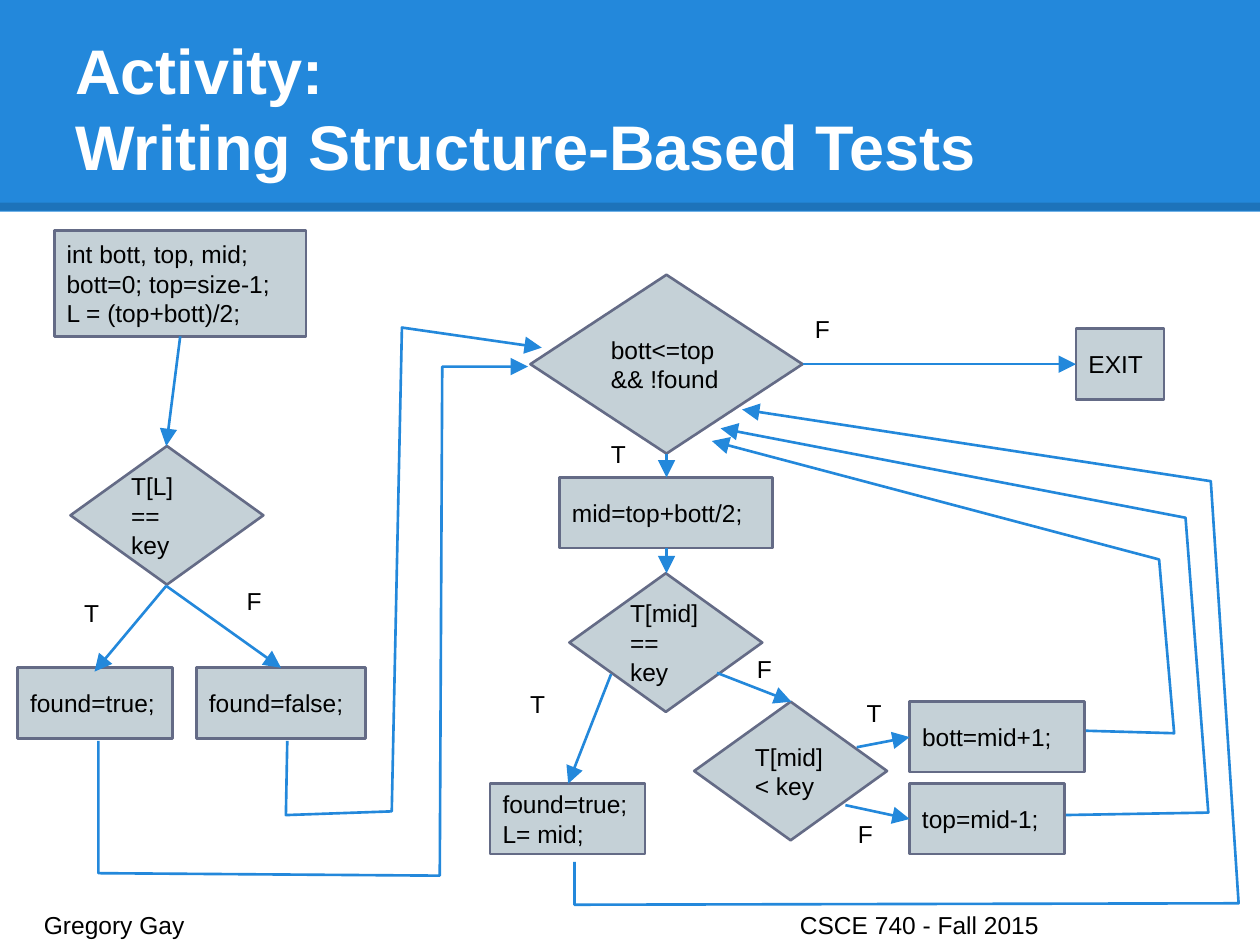
from typing import NamedTuple

from lxml import etree
from pptx import Presentation
from pptx.dml.color import RGBColor
from pptx.enum import shapes, text
from pptx.oxml import ns
from pptx.util import Pt

BLUE, WHITE, BLACK = "2388DB", "FFFFFF", "000000"
NODE_FILL, NODE_LINE = "C5D1D7", "646B86"
BODY = {"name": "Arial", "size": Pt(14), "bold": False}
TITLE = {"name": "Arial", "size": Pt(36), "bold": True}
BOX = shapes.MSO_SHAPE.RECTANGLE
DIAMOND = shapes.MSO_SHAPE.DIAMOND


class Node(NamedTuple):
    label: str
    x: float
    y: float
    w: float
    h: float = 40.3
    kind: shapes.MSO_SHAPE = BOX


class Label(NamedTuple):
    label: str
    x: float
    y: float


class Edge(NamedTuple):
    points: list[tuple[float, float]]


def decision(label: str, x: float, y: float) -> Node:
    return Node(label, x, y, 110.2, 79.2, DIAMOND)


NODES = [
    Node("int bott, top, mid;\nbott=0; top=size-1;\nL = (top+bott)/2;", 31, 131.8, 144, 60.5),
    decision("T[L] == key", 40.3, 254.9),
    Node("found=false;", 112.3, 381.6, 96.5),
    Node("found=true;", 10.1, 381.6, 88.6),
    Node("bott<=top && !found", 303.1, 157, 155.5, 102.2, DIAMOND),
    Node("EXIT", 614.9, 187.9, 50.4),
    Node("mid=top+bott/2;", 319.7, 272.9, 121.7),
    decision("T[mid] == key", 325.4, 327.6),
    Node("found=true;\nL= mid;", 280.1, 447.8, 88.6),
    decision("T[mid] < key", 396.7, 401),
    Node("bott=mid+1;", 519.8, 401, 100.1),
    Node("top=mid-1;", 519.8, 447.8, 88.6),
]

LABELS = [
    Label("F", 133.9, 327.6), Label("T", 41, 334.8),
    Label("F", 458.6, 172.1), Label("T", 342, 243.4),
    Label("T", 295.9, 386.6), Label("F", 425.5, 366.5),
    Label("T", 488.2, 391.7), Label("F", 483.1, 460.8),
]

EDGES = [
    Edge([(103, 192.2), (95, 254.9)]),
    Edge([(95, 334.8), (54, 383.8)]),
    Edge([(95, 334.8), (160.6, 381.6)]),
    Edge([(458.6, 208.1), (614.9, 208.1)]),
    Edge([(380.9, 259.2), (380.9, 272.9)]),
    Edge([(380.9, 313.2), (380.9, 327.6)]),
    Edge([(349.2, 385.2), (324.7, 447.8)]),
    Edge([(409.7, 384.5), (452.2, 401)]),
    Edge([(489.6, 427), (519.8, 421.2)]),
    Edge([(483.1, 460.1), (519.8, 468)]),
    Edge([(56.2, 423.4), (56.2, 499), (251.3, 500.4), (252.7, 209.5), (301.7, 209.5)]),
    Edge([(164.2, 423.4), (163.4, 465.8), (223.9, 463.7), (229.7, 187.2), (309.6, 198.7)]),
    Edge([(328.3, 492.5), (328.3, 517), (707.8, 516.2), (691.9, 275), (424.1, 234)]),
    Edge([(609.1, 465.8), (690.5, 464.4), (677.5, 295.9), (411.8, 244.8)]),
    Edge([(620.6, 417.6), (671, 419), (662.4, 319.7), (406.8, 252)]),
]


def paint(fill, colour: str) -> None:
    fill.solid()
    fill.fore_color.rgb = RGBColor.from_string(colour)


def write(sp, words: str, font: dict = BODY, colour: str = BLACK,
          anchor: text.MSO_ANCHOR = text.MSO_ANCHOR.TOP) -> None:
    tf = sp.text_frame
    frame = {"word_wrap": True, "vertical_anchor": anchor}
    frame |= {f"margin_{side}": Pt(7.2) for side in ("left", "top", "right", "bottom")}
    for name, value in frame.items():
        setattr(tf, name, value)
    tf.text = words
    for p in tf.paragraphs:
        p.alignment = text.PP_ALIGN.LEFT
        for r in p.runs:
            for name, value in font.items():
                setattr(r.font, name, value)
            paint(r.font.fill, colour)


def add_text(s, x: float, y: float, w: float, h: float, words: str, **style):
    sp = s.shapes.add_textbox(Pt(x), Pt(y), Pt(w), Pt(h))
    write(sp, words, **style)
    return sp


def add_line(s, start: tuple[float, float], end: tuple[float, float],
             colour: str, width: float):
    sp = s.shapes.add_connector(shapes.MSO_CONNECTOR.STRAIGHT, *map(Pt, start + end))
    paint(sp.line.fill, colour)
    sp.line.width = Pt(width)
    etree.SubElement(sp._element.spPr, ns.qn("a:effectLst"))
    return sp


def add_node(s, node: Node) -> None:
    sp = s.shapes.add_shape(node.kind, Pt(node.x), Pt(node.y), Pt(node.w), Pt(node.h))
    sp.shadow.inherit = False
    paint(sp.fill, NODE_FILL)
    paint(sp.line.fill, NODE_LINE)
    sp.line.width = Pt(1.5)
    write(sp, node.label, anchor=text.MSO_ANCHOR.MIDDLE)


def add_edge(s, edge: Edge) -> None:
    """Draw a straight or bent arrow that points at the last point."""
    start, *rest = edge.points
    if len(rest) == 1:
        sp = add_line(s, start, rest[0], BLUE, 1.5)
    else:
        builder = s.shapes.build_freeform(*map(Pt, start))
        builder.add_line_segments([(Pt(x), Pt(y)) for x, y in rest], close=False)
        sp = builder.convert_to_shape()
        sp.shadow.inherit = False
        sp.fill.background()
        paint(sp.line.fill, BLUE)
        sp.line.width = Pt(1.5)
    ln = sp.line._get_or_add_ln()
    etree.SubElement(ln, ns.qn("a:tailEnd"), type="triangle", w="lg", len="lg")


def add_header(s) -> None:
    band = s.shapes.add_shape(BOX, 0, 0, Pt(720), Pt(121))
    band.shadow.inherit = False
    paint(band.fill, BLUE)
    band.line.fill.background()
    rule = add_line(s, (0, 118.1), (720, 118.1), BLACK, 4.5)
    colour = rule.line._get_or_add_ln().find(".//" + ns.qn("a:srgbClr"))
    etree.SubElement(colour, ns.qn("a:alpha"), val="15000")
    title = add_text(s, 36, 21.6, 648, 90, "", anchor=text.MSO_ANCHOR.BOTTOM)
    write(title, "Activity:\vWriting Structure-Based Tests", TITLE, WHITE,
          text.MSO_ANCHOR.BOTTOM)


def add_footer(s) -> None:
    sp = add_text(s, 18, 512.6, 684.7, 21.6, "Gregory Gay\tCSCE 740 - Fall 2015")
    pPr = sp.text_frame.paragraphs[0]._p.get_or_add_pPr()
    tabs = etree.SubElement(pPr, ns.qn("a:tabLst"))
    etree.SubElement(tabs, ns.qn("a:tab"), pos=str(Pt(432)), algn="l")


def main() -> None:
    prs = Presentation()
    prs.slide_width, prs.slide_height = Pt(720), Pt(540)
    s = prs.slides.add_slide(prs.slide_layouts[6])
    add_header(s)
    for node in NODES:
        add_node(s, node)
    for label in LABELS:
        add_text(s, label.x, label.y, 26.6, 36, label.label)
    for edge in EDGES:
        add_edge(s, edge)
    add_footer(s)
    prs.save("out.pptx")


if __name__ == "__main__":
    main()
